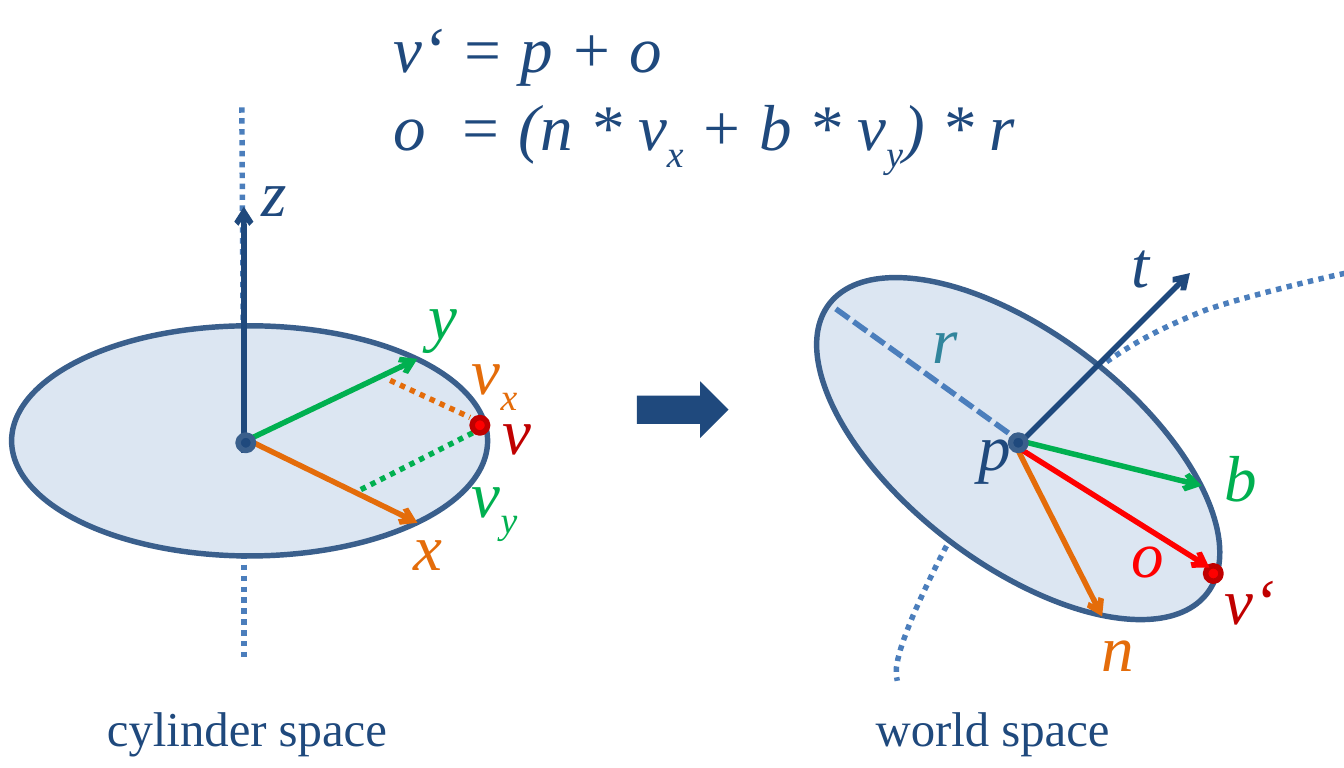
"""Draw how a cylinder vertex maps from cylinder space to world space."""
from dataclasses import dataclass

from lxml.etree import SubElement
from pptx import Presentation
from pptx.dml.color import RGBColor
from pptx.enum.dml import MSO_LINE
from pptx.enum.shapes import MSO_CONNECTOR, MSO_SHAPE
from pptx.enum.text import MSO_AUTO_SIZE
from pptx.oxml.ns import qn
from pptx.util import Cm, Inches, Pt


@dataclass(frozen=True)
class Theme:
    font: str = "Times New Roman"
    symbol_size: int = 24
    caption_size: int = 18
    line_width: int = 2
    navy: str = "1F497D"
    outline: str = "3A5F8C"
    disc: str = "DCE6F2"
    path_blue: str = "4B7EBC"
    green: str = "00B050"
    orange: str = "E46C0A"
    red: str = "FF0000"
    dark_red: str = "C00000"
    teal: str = "31859C"


class Diagram:
    def __init__(self, slide, theme):
        self.slide = slide
        self.theme = theme

    def stroke(self, line, color, dash=None):
        line.color.rgb = RGBColor.from_string(color)
        line.width = Pt(self.theme.line_width)
        if dash is not None:
            line.dash_style = dash

    def line(self, start, end, color, dash=None):
        connector = self.slide.shapes.add_connector(
            MSO_CONNECTOR.STRAIGHT, *map(Inches, (*start, *end)))
        self.stroke(connector.line, color, dash)
        SubElement(connector._element.spPr, qn("a:effectLst"))
        return connector

    def arrow(self, start, end, color):
        connector = self.line(start, end, color)
        SubElement(connector.line._get_or_add_ln(), qn("a:tailEnd"), type="arrow")

    def curve(self, start, segments, color, steps=12):
        points = []
        origin = start
        for controls in segments:
            corners = (origin, *controls)
            for step in range(1, steps + 1):
                t = step / steps
                weights = ((1 - t) ** 3, 3 * t * (1 - t) ** 2, 3 * t * t * (1 - t), t ** 3)
                points.append(tuple(
                    Inches(sum(weight * corner[axis] for weight, corner in zip(weights, corners)))
                    for axis in (0, 1)))
            origin = controls[-1]
        builder = self.slide.shapes.build_freeform(Inches(start[0]), Inches(start[1]))
        builder.add_line_segments(points, close=False)
        shape = builder.convert_to_shape()
        shape.shadow.inherit = False
        shape.fill.background()
        self.stroke(shape.line, color, MSO_LINE.ROUND_DOT)

    def shape(self, kind, center, size, fill, outline=None, rotation=0):
        corner = [middle - length / 2 for middle, length in zip(center, size)]
        shape = self.slide.shapes.add_shape(kind, *map(Inches, (*corner, *size)))
        shape.shadow.inherit = False
        shape.rotation = rotation
        shape.fill.solid()
        shape.fill.fore_color.rgb = RGBColor.from_string(fill)
        if outline:
            self.stroke(shape.line, outline)
        else:
            shape.line.fill.background()

    def disc(self, center, rotation=0):
        self.shape(MSO_SHAPE.OVAL, center, (2.44, 1.18),
                   self.theme.disc, self.theme.outline, rotation)

    def dot(self, center, fill, outline):
        self.shape(MSO_SHAPE.OVAL, center, (0.08, 0.08), fill, outline)

    def text(self, lines, box, color, size, italic=True):
        """Write lines in which pairs of underscores enclose a subscript."""
        frame = self.slide.shapes.add_textbox(*map(Inches, box)).text_frame
        frame.word_wrap = False
        frame.auto_size = MSO_AUTO_SIZE.SHAPE_TO_FIT_TEXT
        for index, line in enumerate(lines):
            paragraph = frame.add_paragraph() if index else frame.paragraphs[0]
            paragraph.font.name = self.theme.font
            paragraph.font.size = Pt(size)
            paragraph.font.italic = italic
            paragraph.font.color.rgb = RGBColor.from_string(color)
            for position, piece in enumerate(line.split("_")):
                if piece:
                    run = paragraph.add_run()
                    run.text = piece
                    if position % 2:
                        run.font._element.set("baseline", "-25000")

    def symbol(self, text, left, top, width, color):
        self.text([text], (left, top, width, 0.5), color, self.theme.symbol_size)

    def caption(self, text, left, width):
        self.text([text], (left, 3.53, width, 0.4), self.theme.navy,
                  self.theme.caption_size, italic=False)


def draw_cylinder_space(diagram):
    theme = diagram.theme
    diagram.line((1.24, 0.55), (1.25, 2.32), theme.path_blue, MSO_LINE.ROUND_DOT)
    diagram.line((1.25, 2.28), (1.25, 3.38), theme.path_blue, MSO_LINE.ROUND_DOT)
    diagram.disc((1.28, 2.26))
    diagram.arrow((1.25, 2.32), (1.25, 1.06), theme.navy)
    diagram.arrow((1.26, 2.26), (2.14, 1.84), theme.green)
    diagram.arrow((1.28, 2.26), (2.14, 2.68), theme.orange)
    diagram.dot((1.26, 2.27), theme.navy, theme.outline)
    diagram.line((1.85, 2.51), (2.5, 2.18), theme.green, MSO_LINE.ROUND_DOT)
    diagram.line((2, 1.95), (2.41, 2.14), theme.orange, MSO_LINE.ROUND_DOT)
    diagram.dot((2.46, 2.18), theme.red, theme.dark_red)
    for symbol in (
        ("z", 1.24, 0.73, 0.33, theme.navy),
        ("y", 2.1, 1.36, 0.35, theme.green),
        ("x", 2.02, 2.54, 0.35, theme.orange),
        ("v_x_", 2.32, 1.64, 0.45, theme.orange),
        ("v_y_", 2.32, 2.27, 0.45, theme.green),
        ("v", 2.48, 1.95, 0.35, theme.dark_red),
    ):
        diagram.symbol(*symbol)
    diagram.caption("cylinder space", 0.45, 1.65)


def draw_world_space(diagram):
    theme = diagram.theme
    diagram.curve((5.23, 2.28), (
        ((5.38, 2.12), (5.52, 1.97), (5.68, 1.85)),
        ((5.84, 1.74), (5.98, 1.67), (6.18, 1.59)),
        ((6.38, 1.52), (6.76, 1.43), (6.9, 1.4)),
    ), theme.path_blue)
    diagram.curve((5.21, 2.3), (
        ((5.06, 2.48), (4.92, 2.66), (4.82, 2.86)),
        ((4.72, 3.06), (4.56, 3.39), (4.6, 3.49)),
    ), theme.path_blue)
    diagram.disc((5.22, 2.3), rotation=37.4)
    diagram.arrow((5.23, 2.26), (6.16, 2.49), theme.green)
    diagram.arrow((5.22, 2.31), (5.65, 3.16), theme.orange)
    diagram.arrow((5.23, 2.27), (6.1, 1.4), theme.navy)
    diagram.dot((6.22, 2.94), theme.red, theme.dark_red)
    diagram.arrow((5.18, 2.27), (6.2, 2.91), theme.red)
    diagram.dot((5.22, 2.27), theme.navy, theme.outline)
    diagram.line((5.17, 2.22), (4.28, 1.58), theme.path_blue, MSO_LINE.SQUARE_DOT)
    for symbol in (
        ("n", 5.55, 3.06, 0.37, theme.orange),
        ("t", 5.7, 1.09, 0.29, theme.navy),
        ("b", 6.18, 2.19, 0.37, theme.green),
        ("o", 5.7, 2.58, 0.37, theme.red),
        ("p", 4.92, 2.03, 0.37, theme.navy),
        ("v‘", 6.18, 2.82, 0.46, theme.dark_red),
        ("r", 4.68, 1.48, 0.33, theme.teal),
    ):
        diagram.symbol(*symbol)
    diagram.caption("world space", 4.39, 1.42)


def main():
    presentation = Presentation()
    presentation.slide_width = Cm(17.5)
    presentation.slide_height = Cm(10)
    slide = presentation.slides.add_slide(presentation.slide_layouts[6])
    theme = Theme()
    diagram = Diagram(slide, theme)
    draw_cylinder_space(diagram)
    diagram.shape(MSO_SHAPE.RIGHT_ARROW, (3.5, 2.1), (0.47, 0.29), theme.navy)
    draw_world_space(diagram)
    diagram.text(["v‘ = p + o", "o  = (n * v_x_ + b * v_y_) * r"],
                 (1.92, -0.01, 3.45, 0.91), theme.navy, theme.symbol_size)
    presentation.save("out.pptx")


main()
